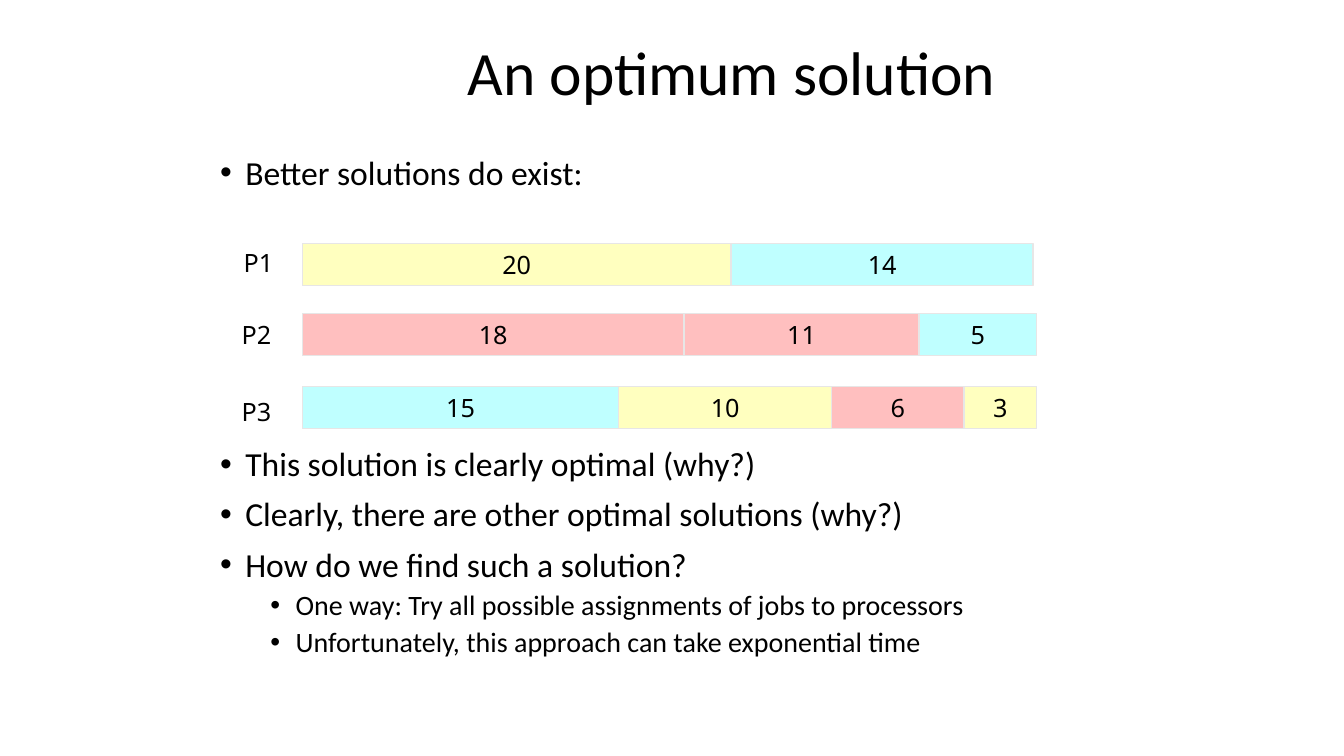
import pptx
import pptx.dml.color
import pptx.enum.shapes
import pptx.enum.text
import pptx.util
from lxml import etree

Pt = pptx.util.Pt
ALIGN = pptx.enum.text.PP_ALIGN
ANCHOR = pptx.enum.text.MSO_ANCHOR
YELLOW, CYAN, PINK = "FFFFBF", "BFFFFF", "FFBFBF"
BLACK, BORDER = "000000", "E7E6E6"

BAR_HEIGHT = 30
SCHEDULE = [
    ("P1", 0, (-49, -5), [("20", 306.25, YELLOW), ("14", 522, CYAN)]),
    ("P2", 50, (-50.5, -4), [("18", 272.5, PINK), ("11", 440.5, PINK), ("5", 524.5, CYAN)]),
    ("P3", 102, (-50.5, -1), [("15", 226, CYAN), ("10", 378, YELLOW),
                              ("6", 472.5, PINK), ("3", 524.5, YELLOW)]),
]


def rgb(value):
    return pptx.dml.color.RGBColor.from_string(value)


def place(sp, box):
    sp.left, sp.top, sp.width, sp.height = [Pt(v) for v in box]


def add_text(tf, text, size=18, font="Noto Sans", color=BLACK, align=ALIGN.LEFT,
             anchor=ANCHOR.TOP, spacing=1.0, before=0, level=0, bullet=False, first=True):
    tf.word_wrap = True
    tf.auto_size = pptx.enum.text.MSO_AUTO_SIZE.NONE
    tf.vertical_anchor = anchor
    p = tf.paragraphs[0] if first else tf.add_paragraph()
    p.alignment, p.level = align, level
    p.line_spacing, p.space_before = spacing, Pt(before)
    if bullet:
        pPr = p._p.get_or_add_pPr()
        pPr.set("marL", str(Pt(18 + 36 * level)))
        pPr.set("indent", str(Pt(-18)))
        ns = pptx.oxml.ns.qn
        etree.SubElement(pPr, ns("a:buFont")).set("typeface", "Arial")
        etree.SubElement(pPr, ns("a:buChar")).set("char", "•")
    r = p.add_run()
    r.text = text
    r.font.size, r.font.name = Pt(size), font
    r.font.color.rgb = rgb(color)


def fill_title(sp, box, text):
    place(sp, box)
    add_text(sp.text_frame, text, size=44, font="Calibri", align=ALIGN.CENTER,
             anchor=ANCHOR.MIDDLE, spacing=0.9)


def fill_list(sp, box, items):
    place(sp, box)
    for i, (level, text) in enumerate(items):
        add_text(sp.text_frame, text, size=24 - 4 * level, font="Calibri", spacing=0.9,
                 before=10 - 5 * level, level=level, bullet=True, first=i == 0)


def add_job(s, box, text, color):
    sp = s.shapes.add_shape(pptx.enum.shapes.MSO_SHAPE.RECTANGLE, *[Pt(v) for v in box])
    sp.shadow.inherit = False
    sp.fill.solid()
    sp.fill.fore_color.rgb = rgb(color)
    sp.line.color.rgb = rgb(BORDER)
    sp.line.width = Pt(1)
    add_text(sp.text_frame, text, align=ALIGN.CENTER, anchor=ANCHOR.MIDDLE)


def add_schedule(s, left, top):
    for name, offset, (dx, dy), jobs in SCHEDULE:
        y = top + offset
        sp = s.shapes.add_textbox(Pt(left + dx), Pt(y + dy), Pt(47.5), Pt(33))
        add_text(sp.text_frame, name, spacing=1.2)
        start = 0
        for text, end, color in jobs:
            add_job(s, (left + start, y, end - start, BAR_HEIGHT), text, color)
            start = end


def build_slide(prs):
    s = prs.slides.add_slide(prs.slide_layouts[3])
    title, intro, conclusions = s.placeholders
    fill_title(title, (216, 24, 613.5, 60), "An optimum solution")
    fill_list(intro, (150, 108, 675, 42), [(0, "Better solutions do exist:")])
    fill_list(conclusions, (150, 316, 675, 166), [
        (0, "This solution is clearly optimal (why?)"),
        (0, "Clearly, there are other optimal solutions (why?)"),
        (0, "How do we find such a solution?"),
        (1, "One way: Try all possible assignments of jobs to processors"),
        (1, "Unfortunately, this approach can take exponential time"),
    ])
    add_schedule(s, 216, 174)


prs = pptx.Presentation()
prs.slide_width, prs.slide_height = Pt(960), Pt(540)
build_slide(prs)
prs.save("out.pptx")
